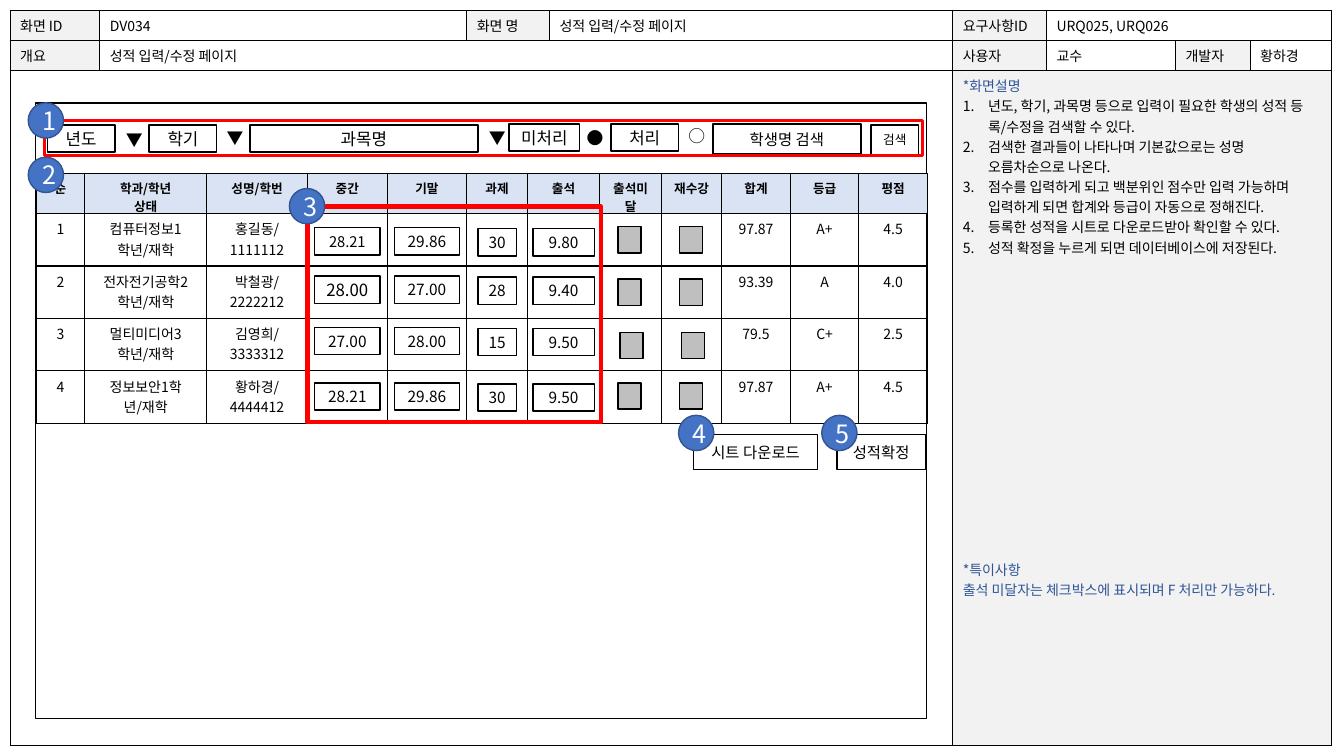
from itertools import accumulate
from pptx import Presentation
from pptx.dml.color import RGBColor as RGB
from pptx.enum.shapes import MSO_SHAPE as Kind
from pptx.enum.text import MSO_ANCHOR as Anchor, PP_ALIGN as Align
from pptx.oxml.ns import qn
from pptx.util import Inches, Pt
from lxml.etree import SubElement as Sub

WIDE, HIGH = 1333, 750
FONT = "Noto Sans CJK KR"
HUES = {"ink": "000000", "paper": "FFFFFF", "label": "F2F2F2", "note": "2F5597", "head": "DAE3F3",
        "check": "BFBFBF", "badge": "4472C4", "rim": "325491", "mark": "FF0000"}


def unit(n):
    """Turn columns or rows of the 1333 by 750 slide grid into a length."""
    return Inches(n / 100)


def hue(name):
    """Look up a colour."""
    return RGB.from_string(HUES[name])


def write(para, text, size, color="ink", bold=False, align=Align.LEFT):
    """Add one styled run to a paragraph."""
    para.alignment = align
    run = para.add_run()
    run.text = text
    font = run.font
    font.size, font.bold, font.name = Pt(size), bold, FONT
    font.color.rgb = hue(color)
    Sub(run._r.get_or_add_rPr(), qn("a:ea"), typeface=FONT)


def block(slide, box, text="", size=11, fill="paper", line="ink", width=1,
          kind=Kind.RECTANGLE, color="ink", inset=0):
    """Draw a shape with centred text."""
    shape = slide.shapes.add_shape(kind, *map(unit, box))
    shape.shadow.inherit = False
    if fill:
        shape.fill.solid()
        shape.fill.fore_color.rgb = hue(fill)
    else:
        shape.fill.background()
    shape.line.color.rgb = hue(line)
    shape.line.width = Pt(width)
    if text:
        frame = shape.text_frame
        frame.word_wrap = False
        frame.vertical_anchor = Anchor.MIDDLE
        frame.margin_left = unit(inset)
        frame.margin_right = frame.margin_top = frame.margin_bottom = 0
        write(frame.paragraphs[0], text, size, color, align=Align.CENTER)


def badge(slide, x, y, text):
    """Draw a numbered circle."""
    block(slide, (x, y, 35, 35), text, 18, "badge", "rim", kind=Kind.OVAL, color="paper", inset=7)


def sign(slide, x, y, text):
    """Place a symbol in a text box."""
    frame = slide.shapes.add_textbox(*map(unit, (x, y, 33, 30))).text_frame
    frame.word_wrap = True
    write(frame.paragraphs[0], text, 12)


def grid(slide, x, y, cols, rows, width):
    """Add a plain table with black borders."""
    table = slide.shapes.add_table(len(rows), len(cols), *map(unit, (x, y, sum(cols), sum(rows)))).table
    table.first_row = table.horz_banding = False
    for part, size in zip(table.columns, cols):
        part.width = unit(size)
    for part, size in zip(table.rows, rows):
        part.height = unit(size)
    for cell in table.iter_cells():
        cell.fill.background()
        props = cell._tc.get_or_add_tcPr()
        for at, side in enumerate(("lnL", "lnR", "lnT", "lnB")):
            edge = props.makeelement(qn("a:" + side), {"w": str(Pt(width))})
            Sub(Sub(edge, qn("a:solidFill")), qn("a:srgbClr"), val=HUES["ink"])
            props.insert(at, edge)
    return table


def tint(cell, name):
    """Fill a table cell."""
    cell.fill.solid()
    cell.fill.fore_color.rgb = hue(name)


def notes(cell):
    """Write the numbered description and the remark."""
    steps = ["년도, 학기, 과목명 등으로 입력이 필요한 학생의 성적 등록/수정을 검색할 수 있다.",
             "검색한 결과들이 나타나며 기본값으로는 성명 오름차순으로 나온다.",
             "점수를 입력하게 되고 백분위인 점수만 입력 가능하며 입력하게 되면 합계와 등급이 자동으로 정해진다.",
             "등록한 성적을 시트로 다운로드받아 확인할 수 있다.",
             "성적 확정을 누르게 되면 데이터베이스에 저장된다."]
    frame = cell.text_frame
    write(frame.paragraphs[0], "*화면설명", 10, "note")
    for step in steps:
        para = frame.add_paragraph()
        props = para._p.get_or_add_pPr()
        props.set("marL", str(unit(25)))
        props.set("indent", str(-unit(25)))
        Sub(props, qn("a:buFont"), typeface="+mj-lt")
        Sub(props, qn("a:buAutoNum"), type="arabicPeriod")
        write(para, step, 10)
    for text, gap in (("*특이사항", 216), ("출석 미달자는 체크박스에 표시되며 F 처리만 가능하다.", 0)):
        para = frame.add_paragraph()
        para.space_before = Pt(gap)
        write(para, text, 10, "note")


def sheet(slide, x, y):
    """Draw the page form with its header cells and side notes."""
    table = grid(slide, x, y, [89, 364, 82, 400, 93, 128, 74, 81], [30, 30, 669], 0.5)
    for row, first, last in ((0, 5, 7), (1, 1, 3), (2, 0, 3), (2, 4, 7)):
        table.cell(row, first).merge(table.cell(row, last))
    words = [["화면 ID", "DV034", "화면 명", "성적 입력/수정 페이지", "요구사항ID", "URQ025, URQ026", "", ""],
             ["개요", "성적 입력/수정 페이지", "", "", "사용자", "교수", "개발자", "황하경"]]
    for row, line in enumerate(words):
        for col, text in enumerate(line):
            cell = table.cell(row, col)
            tint(cell, "paper" if col % 2 else "label")
            if text:
                write(cell.text_frame.paragraphs[0], text, 10)
    tint(table.cell(2, 0), "paper")
    tint(table.cell(2, 4), "label")
    notes(table.cell(2, 4))


def search(slide, x, y, w, h):
    """Draw the search bar inside its red outline."""
    fields = [(3, 4, 67, 27, "년도", 12), (104, 4, 67, 27, "학기", 12), (204, 4, 226, 27, "과목명", 12),
              (461, 3, 70, 27, "미처리", 12), (562, 3, 67, 27, "처리", 12),
              (663, 3, 147, 30, "학생명 검색", 11), (820, 4, 47, 29, "검색", 9)]
    for left, top, wide, high, text, size in fields:
        block(slide, (x + left, y + top, wide, high), text, size)
    for left, top, text in ((71, 4, "▼"), (171, 2, "▼"), (431, 2, "▼"), (528, 2, "●"), (629, 0, "○")):
        sign(slide, x + left, y + top, text)
    block(slide, (x, y, w, h), fill=None, line="mark", width=2.25)
    badge(slide, x - 16, y - 18, "1")


def grades(slide, x, y):
    """Draw the grade table with its score fields and checkboxes."""
    cols = [48, 121, 100, 79, 79, 60, 72, 61, 60, 68, 68, 68]
    edges = [0, *accumulate(cols)]
    table = grid(slide, x, y, cols, [40] + [52] * 4, 1)
    heads = ["순", "학과/학년\n상태", "성명/학번", "중간", "기말", "과제", "출석", "출석미달", "재수강", "합계", "등급", "평점"]
    people = [("컴퓨터정보1학년/재학", "홍길동/1111112", "97.87", "A+", "4.5"),
              ("전자전기공학2학년/재학", "박철광/2222212", "93.39", "A", "4.0"),
              ("멀티미디어3학년/재학", "김영희/3333312", "79.5", "C+", "2.5"),
              ("정보보안1학년/재학", "황하경/4444412", "97.87", "A+", "4.5")]
    for col, head in enumerate(heads):
        cell = table.cell(0, col)
        tint(cell, "head")
        cell.margin_bottom = 0
        frame = cell.text_frame
        for at, text in enumerate(head.split("\n")):
            para = frame.add_paragraph() if at else frame.paragraphs[0]
            write(para, text, 9, bold=True, align=Align.CENTER)
    for row, person in enumerate(people, 1):
        for col, text in zip((0, 1, 2, 9, 10, 11), (str(row), *person)):
            write(table.cell(row, col).text_frame.paragraphs[0], text, 10, align=Align.CENTER)
    scores = [(54, 53, 0, "28.21 29.86 30 9.80"), (102, 105, 0, "28.00 27.00 28 9.40"),
              (153, 158, 2, "27.00 28.00 15 9.50"), (208, 208, 0, "28.21 29.86 30 9.50")]
    sizes = {(0, 0): 10.5, (1, 0): 12}
    for row, (top, tick, shift, line) in enumerate(scores):
        for col, (text, wide) in enumerate(zip(line.split(), (65, 65, 38, 61))):
            left = x + edges[col + 3] + (cols[col + 3] - wide) / 2
            block(slide, (left, y + top + col // 2, wide, 27), text, sizes.get((row, col), 11))
        for col in (7, 8):
            block(slide, (x + edges[col] + 18 + shift, y + tick, 23, 26), fill="check")
    badge(slide, x - 8, y - 16, "2")
    block(slide, (x + edges[3], y + 33, edges[7] - edges[3] + 1, 214), fill=None, line="mark", width=3)
    badge(slide, x + edges[3] - 18, y + 15, "3")


def actions(slide, x, y):
    """Draw the download and confirm buttons."""
    for left, wide, text, mark in ((0, 123, "시트 다운로드", "4"), (142, 88, "성적확정", "5")):
        block(slide, (x + left, y, wide, 35), text)
        badge(slide, x + left - 15, y - 19, mark)


def main():
    """Build the slide."""
    deck = Presentation()
    deck.slide_width, deck.slide_height = unit(WIDE), unit(HIGH)
    slide = deck.slides.add_slide(deck.slide_layouts[6])
    sheet(slide, 10, 10)
    block(slide, (35, 102, 884, 611))
    search(slide, 44, 120, 871, 34)
    grades(slide, 36, 172)
    actions(slide, 688, 431)
    deck.save("out.pptx")


if __name__ == "__main__":
    main()
